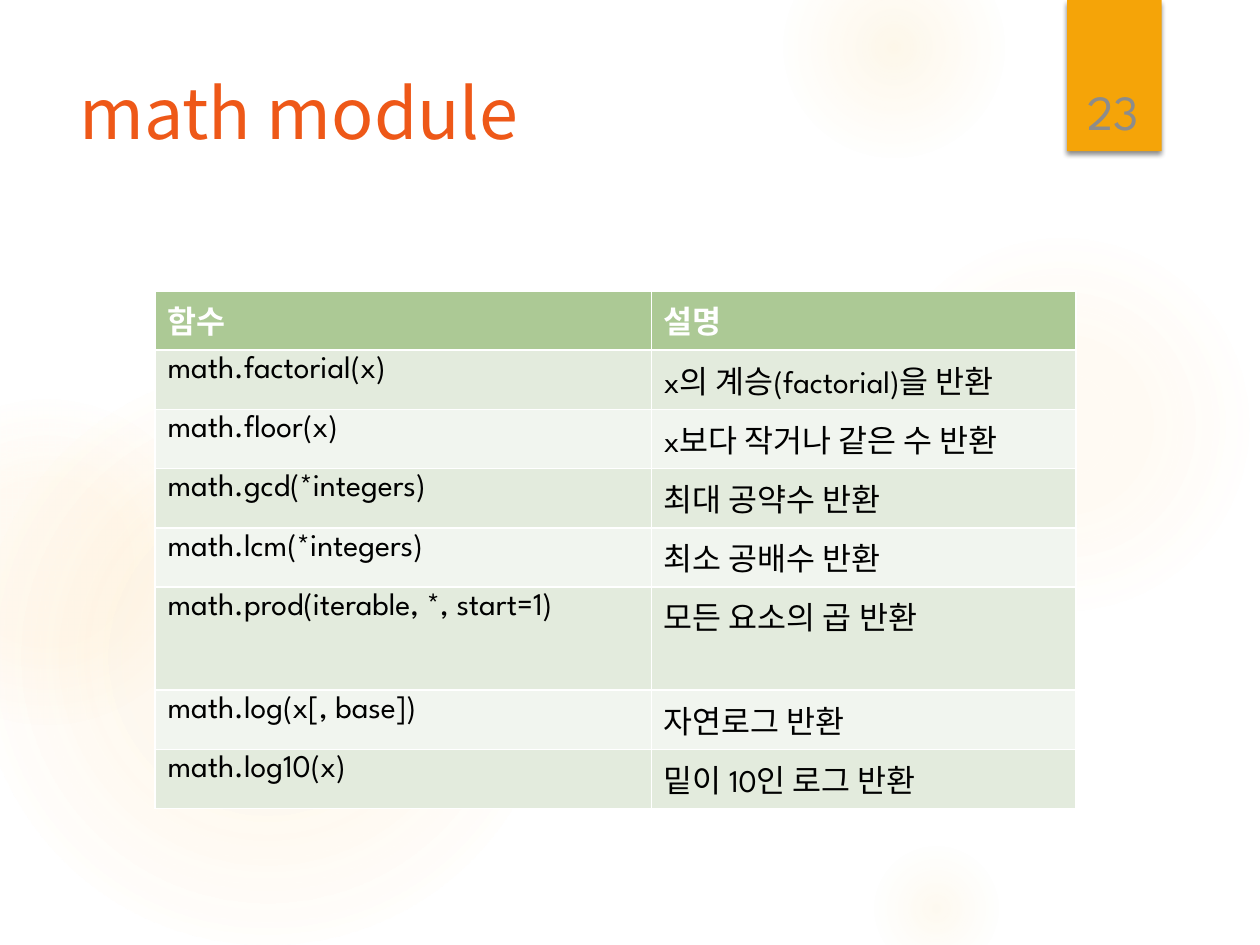
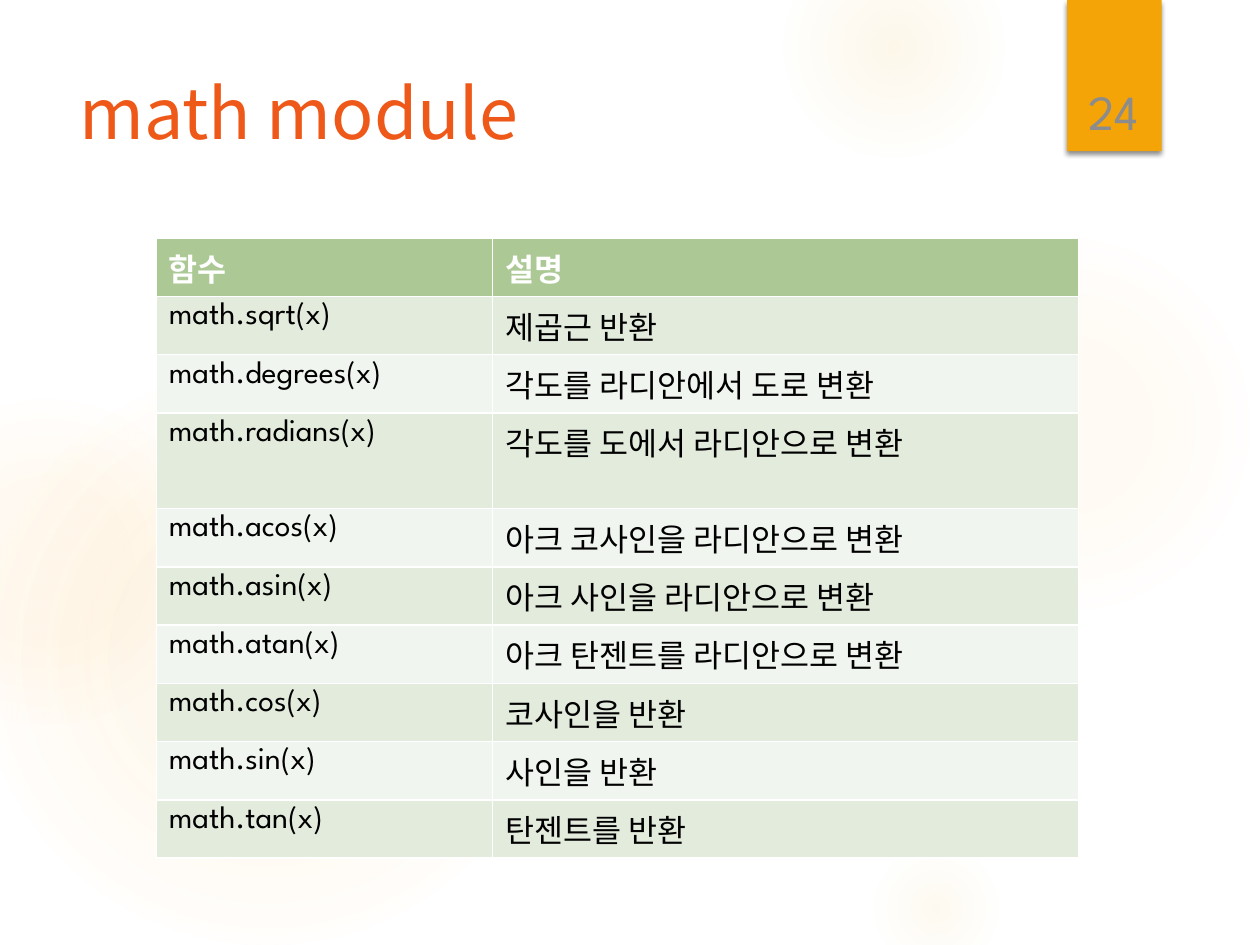
from lxml.etree import SubElement
from pptx import Presentation
from pptx.dml.color import RGBColor as RGB
from pptx.enum.shapes import MSO_SHAPE as SHAPE
from pptx.enum.text import MSO_ANCHOR as ANCHOR, PP_ALIGN as ALIGN
from pptx.oxml import parse_xml
from pptx.oxml.ns import nsdecls, qn
from pptx.util import Inches, Pt

COLORS = {
    "title": "EE5818", "band": "F5A408", "glow": "FAC96A", "number": "8C8C8C",
    "header": "ACC995", "odd": "E3EBDD", "even": "F1F5EF",
    "white": "FFFFFF", "black": "000000",
}
LATIN, HANGUL = "League Spartan", "Noto Sans CJK KR"
TITLE = "math module"
HEADER = ("함수", "설명")

SLIDES = [
    {
        "number": 23, "at": (1.23, 2.31), "cols": (3.94, 3.37),
        "row": 0.47, "tall": (5, 0.82),
        "rows": [
            ("math.factorial(x)", "x의 계승(factorial)을 반환"),
            ("math.floor(x)", "x보다 작거나 같은 수 반환"),
            ("math.gcd(*integers)", "최대 공약수 반환"),
            ("math.lcm(*integers)", "최소 공배수 반환"),
            ("math.prod(iterable, *, start=1)", "모든 요소의 곱 반환"),
            ("math.log(x[, base])", "자연로그 반환"),
            ("math.log10(x)", "밑이 10인 로그 반환"),
        ],
    },
    {
        "number": 24, "at": (1.24, 1.89), "cols": (2.67, 4.65),
        "row": 0.44, "tall": (3, 0.76),
        "rows": [
            ("math.sqrt(x)", "제곱근 반환"),
            ("math.degrees(x)", "각도를 라디안에서 도로 변환"),
            ("math.radians(x)", "각도를 도에서 라디안으로 변환"),
            ("math.acos(x)", "아크 코사인을 라디안으로 변환"),
            ("math.asin(x)", "아크 사인을 라디안으로 변환"),
            ("math.atan(x)", "아크 탄젠트를 라디안으로 변환"),
            ("math.cos(x)", "코사인을 반환"),
            ("math.sin(x)", "사인을 반환"),
            ("math.tan(x)", "탄젠트를 반환"),
        ],
    },
]

GLOWS = [
    (6.89, 1.83, 3.08, ((0, 7), (36, 6), (69, 0))),
    (6.22, -0.5, 1.75, ((0, 14), (36, 7), (73, 0))),
    (6.89, 6.67, 1.08, ((0, 10), (31, 5), (66, 0))),
    (-0.17, 2.92, 4.58, ((0, 11), (36, 10), (75, 0))),
    (-0.92, 3.17, 2.58, ((0, 8), (36, 8), (72, 0))),
]


def color(name):
    return RGB.from_string(COLORS[name])


def style(p, size, name, latin=LATIN, bold=False):
    for r in p.runs:
        r.font.size, r.font.name, r.font.bold = Pt(size), latin, bold
        r.font.color.rgb = color(name)
        SubElement(r.font._element, qn("a:ea"), typeface=HANGUL)


def glow_fill(stops):
    gs = "".join(
        f'<a:gs pos="{pos * 1000}"><a:srgbClr val="{COLORS["glow"]}">'
        f'<a:alpha val="{alpha * 1000}"/></a:srgbClr></a:gs>'
        for pos, alpha in stops)
    return parse_xml(
        f'<a:gradFill {nsdecls("a")} rotWithShape="1"><a:gsLst>{gs}</a:gsLst>'
        '<a:path path="circle"><a:fillToRect l="50000" t="50000" r="50000" b="50000"/>'
        '</a:path></a:gradFill>')


def band_shadow():
    return parse_xml(
        f'<a:effectLst {nsdecls("a")}><a:outerShdw blurRad="{Pt(3)}" dist="{Pt(2)}" '
        f'dir="5400000" rotWithShape="0"><a:srgbClr val="{COLORS["black"]}">'
        '<a:alpha val="45000"/></a:srgbClr></a:outerShdw></a:effectLst>')


def decorate_master(master, s):
    shapes = []
    for x, y, d, stops in GLOWS:
        sp = s.shapes.add_shape(SHAPE.OVAL, *map(Inches, (x, y, d, d)))
        sp.shadow.inherit = False
        sp.line.fill.background()
        sp._element.spPr.find(qn("a:prstGeom")).addnext(glow_fill(stops))
        shapes.append(sp)
    band = s.shapes.add_shape(SHAPE.RECTANGLE, *map(Inches, (8.47, 0, 0.75, 1.2)))
    band.fill.solid()
    band.fill.fore_color.rgb = color("band")
    band.line.fill.background()
    band._element.spPr.append(band_shadow())
    shapes.append(band)
    for i, sp in enumerate(shapes):
        master.shapes._spTree.insert(2 + i, sp._element)


def place_title(layout):
    sp = layout.placeholders[0]
    sp.left, sp.top, sp.width, sp.height = map(Inches, (0.53, 0.5, 7.72, 1.53))


def add_title(s):
    tf = s.shapes.title.text_frame
    tf.text = TITLE
    tf.vertical_anchor = ANCHOR.TOP
    p = tf.paragraphs[0]
    p.alignment = ALIGN.LEFT
    style(p, 40, "title", HANGUL)


def add_number(s, number):
    sp = s.shapes.add_textbox(*map(Inches, (8.49, 0.32, 0.69, 0.84)))
    tf = sp.text_frame
    tf.word_wrap = True
    tf.vertical_anchor = ANCHOR.BOTTOM
    tf.text = str(number)
    p = tf.paragraphs[0]
    p.alignment = ALIGN.CENTER
    style(p, 28, "number")


def add_functions(s, data):
    rows = [HEADER] + data["rows"]
    tall, tall_height = data["tall"]
    heights = [tall_height if i == tall else data["row"] for i in range(len(rows))]
    size = sum(data["cols"]), sum(heights)
    table = s.shapes.add_table(len(rows), len(HEADER),
                               *map(Inches, data["at"] + size)).table
    for col, width in zip(table.columns, data["cols"]):
        col.width = Inches(width)
    for i, (texts, height) in enumerate(zip(rows, heights)):
        table.rows[i].height = Inches(height)
        fill = "header" if i == 0 else "odd" if i % 2 else "even"
        for cell, text in zip(table.rows[i].cells, texts):
            cell.text = text
            cell.fill.solid()
            cell.fill.fore_color.rgb = color(fill)
            style(cell.text_frame.paragraphs[0], 18,
                  "black" if i else "white", bold=i == 0)


def main():
    prs = Presentation()
    prs.slide_width, prs.slide_height = Inches(10), Inches(7.5)
    layout = prs.slide_layouts[5]
    place_title(layout)
    for data in SLIDES:
        s = prs.slides.add_slide(layout)
        add_title(s)
        add_functions(s, data)
        add_number(s, data["number"])
    decorate_master(prs.slide_master, prs.slides[0])
    prs.save("out.pptx")


if __name__ == "__main__":
    main()
